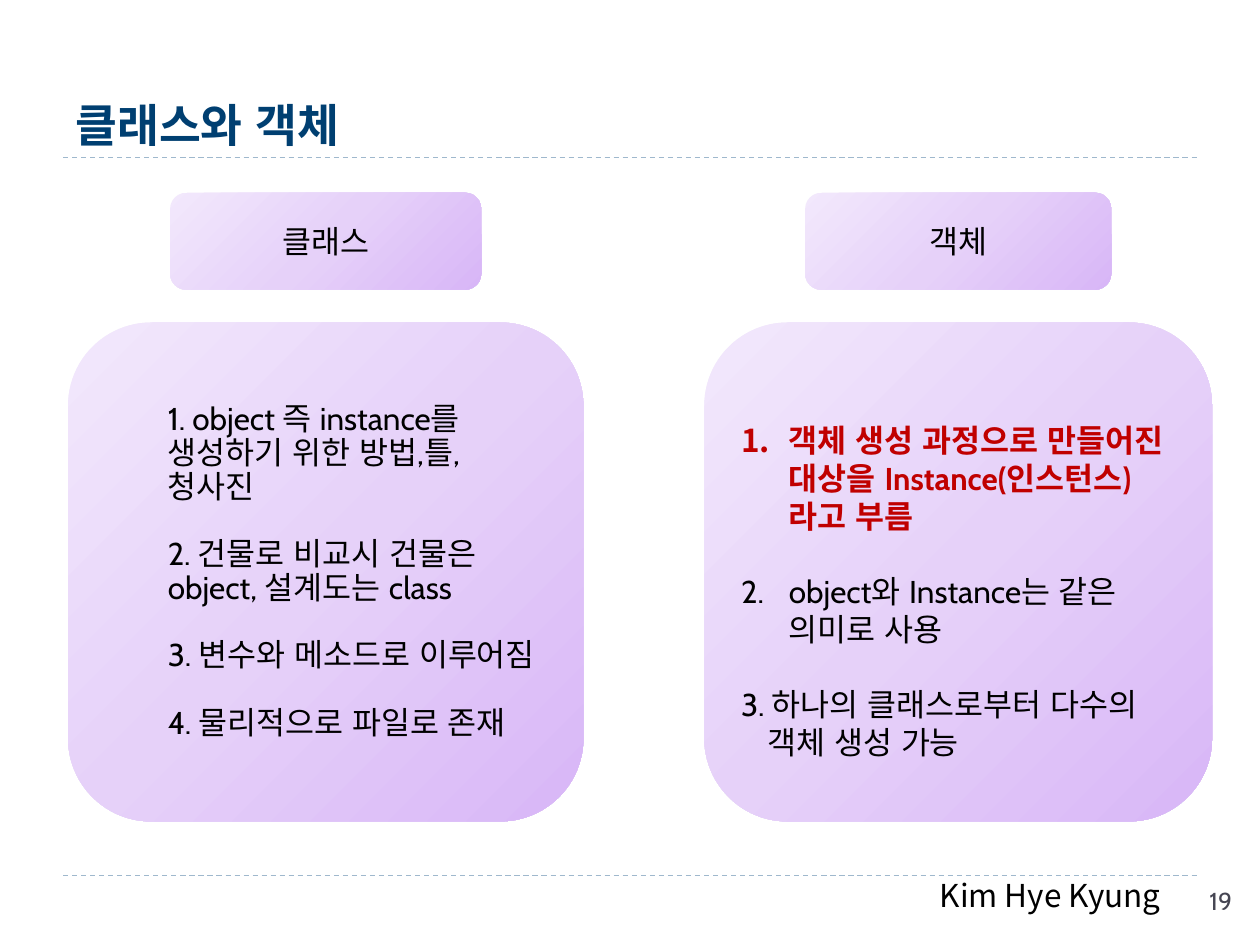
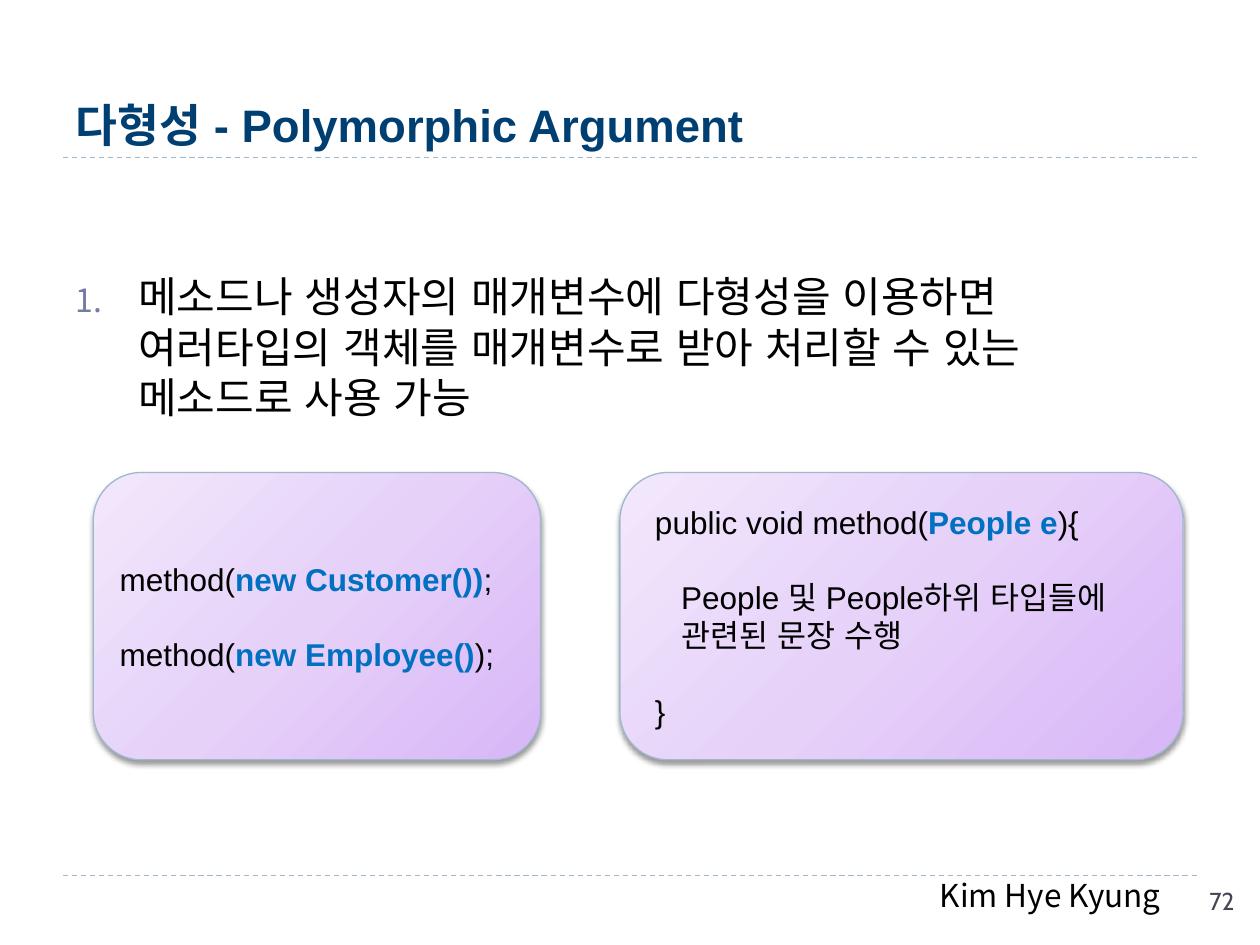
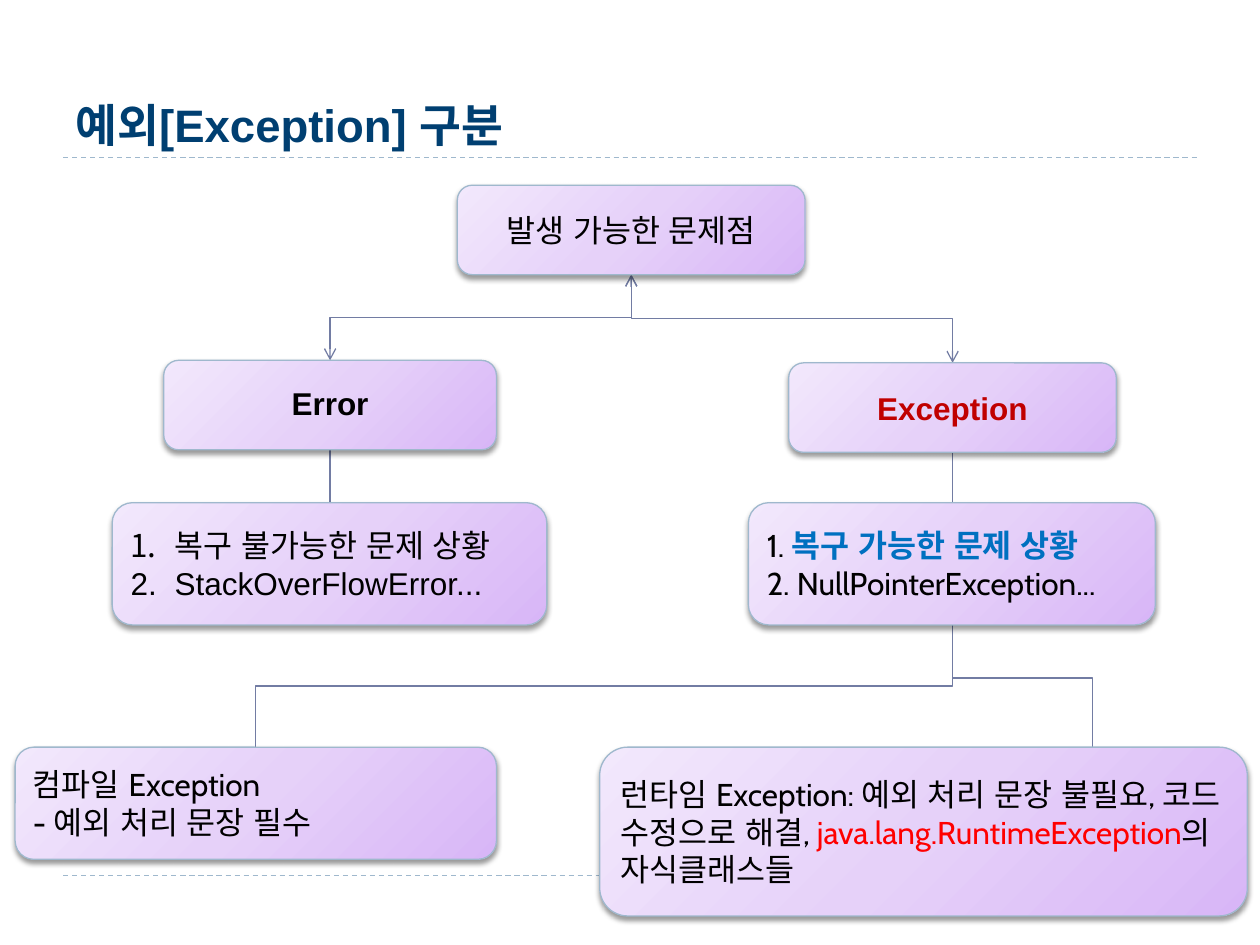
from pptx import Presentation
from pptx import util as u
from pptx.dml.color import RGBColor
from pptx.enum import dml, shapes, text
from pptx.oxml import parse_xml
from pptx.oxml.ns import nsdecls, qn

COLORS = {
    "title": "003F71", "body": "000000", "page": "464653",
    "edge": "9FB8CD", "link": "727CA3", "shadow": "000000",
    "card_dark": "D8B6F7", "card_mid": "E6D1F9", "card_light": "F2E8FC",
    "blue": "0070C0", "crimson": "C00000", "red": "FF0000",
}
KOREAN = "Noto Sans CJK KR"
BLUE = {"color": "blue", "bold": True}
CRIMSON = {"color": "crimson", "bold": True}
CENTER = {"align": text.PP_ALIGN.CENTER}

GRADIENT = f"""<a:gradFill {nsdecls('a')} rotWithShape="1"><a:gsLst>
<a:gs pos="0"><a:srgbClr val="{COLORS['card_dark']}"/></a:gs>
<a:gs pos="50000"><a:srgbClr val="{COLORS['card_mid']}"/></a:gs>
<a:gs pos="100000"><a:srgbClr val="{COLORS['card_light']}"/></a:gs></a:gsLst>
<a:path path="circle"><a:fillToRect l="100000" t="100000"/></a:path></a:gradFill>"""
SHADOW = f"""<a:outerShdw {nsdecls('a')} blurRad="38100" dist="25400" dir="5400000"
 algn="ctr" rotWithShape="0"><a:srgbClr val="{COLORS['shadow']}"><a:alpha val="40000"/></a:srgbClr>
</a:outerShdw>"""


def write_text(shape, paragraphs, anchor=text.MSO_ANCHOR.TOP, **base):
    """Fill a shape with (runs, format) pairs; each run is (words, font changes)."""
    frame = shape.text_frame
    frame.word_wrap = True
    frame.vertical_anchor = anchor
    for index, (runs, layout) in enumerate(paragraphs):
        paragraph = frame.paragraphs[0] if index == 0 else frame.add_paragraph()
        properties = paragraph._p.get_or_add_pPr()
        left, hang = layout.get("left", 0), layout.get("hang", 0)
        properties.set("marL", str(u.Inches(left)))
        properties.set("indent", str(-u.Inches(hang)))
        if "bullet_color" in layout:
            properties.append(parse_xml(
                f'<a:buClr {nsdecls("a")}><a:srgbClr val="{COLORS[layout["bullet_color"]]}"/></a:buClr>'))
            properties.append(parse_xml(f'<a:buSzPct {nsdecls("a")} val="76000"/>'))
        if layout.get("number"):
            properties.append(parse_xml(f'<a:buAutoNum {nsdecls("a")} type="arabicPeriod"/>'))
        paragraph.alignment = layout.get("align", text.PP_ALIGN.LEFT)
        paragraph.line_spacing = layout.get("spacing", 1.0)
        paragraph.space_before = u.Pt(layout.get("before", 0))
        for words, changes in runs:
            style = {"name": "Cabin", "size": 18, "bold": False, "color": "body", **base, **changes}
            run = paragraph.add_run()
            run.text = words
            run.font.color.rgb = RGBColor.from_string(COLORS[style.pop("color")])
            style["size"] = u.Pt(style["size"])
            for attribute, value in style.items():
                setattr(run.font, attribute, value)
            run_properties = run._r.get_or_add_rPr()
            run_properties.set("lang", "ko-KR")
            run_properties.append(parse_xml(f'<a:ea {nsdecls("a")} typeface="{KOREAN}"/>'))


def add_card(slide, box, paragraphs, raised=True, top_inset=0.05, **base):
    shape = slide.shapes.add_shape(shapes.MSO_SHAPE.ROUNDED_RECTANGLE, *map(u.Inches, box))
    shape.fill.background()
    properties = shape._element.spPr
    properties.replace(properties.find(qn("a:noFill")), parse_xml(GRADIENT))
    shape.shadow.inherit = False
    if raised:
        shape.line.color.rgb = RGBColor.from_string(COLORS["edge"])
        shape.line.width = u.Pt(0.75)
        properties.find(qn("a:effectLst")).append(parse_xml(SHADOW))
    else:
        shape.line.fill.background()
    shape.text_frame.margin_top = u.Inches(top_inset)
    write_text(shape, paragraphs, text.MSO_ANCHOR.MIDDLE, **base)


presentation = Presentation()
presentation.slide_width, presentation.slide_height = u.Inches(10), u.Inches(7.5)

# Shared lines: x1, y1, x2, y2, format
rules = [(0.5, y, 9.5, y, {"color": "edge", "dash": True}) for y in (6.95, 1.25)]
tree_links = [
    (5.01, 2.18, 7.56, 2.88, {"arrows": True}),
    (5.01, 2.18, 2.62, 2.86, {"arrows": True}),
    (2.62, 3.57, 2.62, 3.99, {}),
    (7.56, 3.59, 7.56, 3.99, {}),
    (7.56, 4.96, 2.03, 5.93, {}),
    (7.56, 4.96, 8.67, 6.28, {"bend": 0.32}),
]
# Title, page number where it is visible, links
pages = [
    ("클래스와 객체", "19", []),
    ("다형성 - Polymorphic Argument", "72", []),
    ("예외[Exception] 구분", None, tree_links),
]
slides = []
for title, page, links in pages:
    slide = presentation.slides.add_slide(presentation.slide_layouts[6])
    slides.append(slide)
    for x1, y1, x2, y2, look in rules + links:
        ends = (x1, y1, x2, y2)
        bent = x1 != x2 and y1 != y2
        if bent:
            # A vertical elbow is a horizontal one turned about its centre
            width, height = y2 - y1, abs(x2 - x1)
            left, top = (x1 + x2 - width) / 2, (y1 + y2 - height) / 2
            ends = (left, top, left + width, top + height)
        kind = shapes.MSO_CONNECTOR.ELBOW if bent else shapes.MSO_CONNECTOR.STRAIGHT
        connector = slide.shapes.add_connector(kind, *map(u.Inches, ends))
        connector.line.color.rgb = RGBColor.from_string(COLORS[look.get("color", "link")])
        connector.line.width = u.Pt(0.75)
        properties = connector._element.spPr
        if look.get("dash"):
            connector.line.dash_style = dml.MSO_LINE.DASH
        if look.get("arrows"):
            for end in ("headEnd", "tailEnd"):
                properties.find(qn("a:ln")).append(parse_xml(f'<a:{end} {nsdecls("a")} type="arrow"/>'))
        if bent:
            transform = properties.find(qn("a:xfrm"))
            transform.set("rot", str((270 if x2 > x1 else 90) * 60000))
            if x2 > x1:
                transform.set("flipH", "1")
            geometry = properties.find(qn("a:prstGeom"))
            bend = round(look.get("bend", 0.5) * 100000)
            geometry.find(qn("a:avLst")).append(
                parse_xml(f'<a:gd {nsdecls("a")} name="adj1" fmla="val {bend}"/>'))
        properties.append(parse_xml(f'<a:effectLst {nsdecls("a")}/>'))

    labels = [((0.5, 0.17, 9, 1.08), title, text.MSO_ANCHOR.BOTTOM,
               {"name": "Arial", "size": 26, "bold": True, "color": "title"})]
    if page:
        labels += [
            ((7.36, 6.9, 2.1, 0.4), "Kim Hye Kyung", text.MSO_ANCHOR.TOP, {"name": KOREAN}),
            ((9.5, 6.98, 0.5, 0.4), page, text.MSO_ANCHOR.TOP, {"size": 14, "color": "page"}),
        ]
    for box, words, anchor, style in labels:
        label = slide.shapes.add_textbox(*map(u.Inches, box))
        write_text(label, [([(words, style)], {})], anchor)

class_slide, argument_slide, exception_slide = slides

# Class and object
class_points = [
    "1. object 즉 instance를 생성하기 위한 방법,틀,청사진",
    "2. 건물로 비교시 건물은 object, 설계도는 class",
    "3. 변수와 메소드로 이루어짐",
    "4. 물리적으로 파일로 존재",
]
class_text = [([(point, {})], {"left": 0.5, "spacing": 0.9, "before": 19 if index else 0})
              for index, point in enumerate(class_points)]
numbered = {"left": 0.38, "hang": 0.38, "number": True}
object_text = [
    ([("객체 생성 과정으로 만들어진 대상을 Instance(인스턴스)라고 부름", CRIMSON)], numbered),
    ([("object와 Instance는 같은 의미로 사용", {})], {**numbered, "before": 21.5}),
    ([("3. 하나의 클래스로부터 다수의 객체 생성 가능", {})],
     {"left": 0.21, "hang": 0.21, "before": 21.5}),
]
add_card(class_slide, (0.54, 2.56, 4.09, 3.96), class_text, raised=False)
add_card(class_slide, (5.59, 2.56, 4.03, 3.96), object_text, raised=False, top_inset=0.35)
for left, width, heading in ((1.35, 2.47, "클래스"), (6.39, 2.43, "객체")):
    add_card(class_slide, (left, 1.53, width, 0.77), [([(heading, {})], CENTER)], raised=False)

# Polymorphic argument
body = argument_slide.shapes.add_textbox(*map(u.Inches, (0.5, 2.1, 9, 1.5)))
write_text(body, [(
    [("메소드나 생성자의 매개변수에 다형성을 이용하면 여러타입의 객체를 매개변수로 받아 처리할 수 있는 메소드로 사용 가능", {})],
    {"left": 0.5, "hang": 0.5, "number": True, "bullet_color": "link"})], size=24)
gap = {"before": 21.5}
add_card(argument_slide, (0.74, 3.75, 3.55, 2.28), [
    ([("method(", {}), ("new Customer())", BLUE), (";", {})], {}),
    ([("method(", {}), ("new Employee()", BLUE), (");", {})], gap),
], name="Arial")
add_card(argument_slide, (4.92, 3.75, 4.47, 2.28), [
    ([(" public void method(", {}), ("People e", BLUE), ("){", {})], {}),
    ([("    People 및 People하위 타입들에", {})], gap),
    ([("    관련된 문장 수행", {})], {}),
    ([(" }", {})], gap),
], name="Arial")

# Exception tree
ARIAL = {"name": "Arial"}
item = {"left": 0.35, "hang": 0.35, "number": True}
tree_cards = [
    ((3.63, 1.47, 2.76, 0.71), [([("발생 가능한 문제점", {})], CENTER)]),
    ((1.3, 2.86, 2.64, 0.71), [([("Error", {**ARIAL, "bold": True})], {**CENTER, "spacing": 0.9})]),
    ((6.26, 2.88, 2.6, 0.71), [([("Exception", {**ARIAL, **CRIMSON})], CENTER)]),
    ((0.89, 3.99, 3.45, 0.97), [([("복구 불가능한 문제 상황", ARIAL)], item),
                                ([("StackOverFlowError...", ARIAL)], item)]),
    ((5.94, 3.99, 3.23, 0.97), [([("1. ", {}), ("복구 가능한 문제 상황", BLUE)], {}),
                                ([("2. NullPointerException...", {})], {})]),
    ((0.12, 5.93, 3.82, 0.89), [([("컴파일 Exception", {})], {}),
                                ([("- 예외 처리 문장 필수", {})], {})]),
    ((4.76, 5.93, 5.14, 1.34), [([("런타임 Exception: 예외 처리 문장 불필요, 코드 수정으로 해결, ", {}),
                                  ("java.lang.RuntimeException", {"color": "red"}),
                                  ("의 자식클래스들", {})], {})]),
]
for box, paragraphs in tree_cards:
    add_card(exception_slide, box, paragraphs)

presentation.save("out.pptx")
